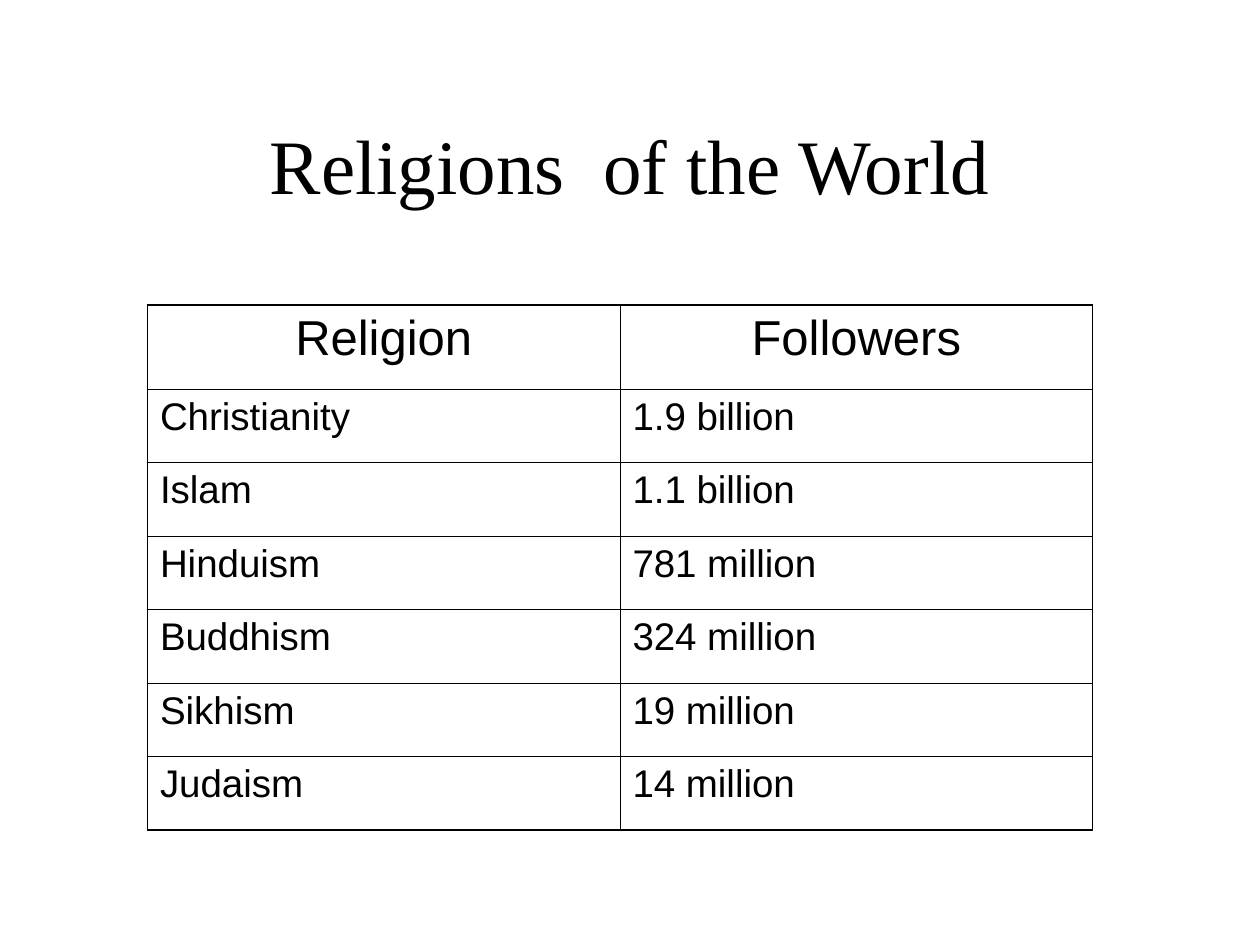
from lxml.etree import SubElement
from pptx import Presentation
from pptx.dml.color import RGBColor
from pptx.enum.text import MSO_ANCHOR, PP_ALIGN
from pptx.oxml.ns import qn
from pptx.util import Inches, Pt

COLORS = {"text": "000000", "border": "000000"}
FORMATS = {
    "title": {"name": "Times New Roman", "size": Pt(44)},
    "header": {"name": "Arial", "size": Pt(28)},
    "body": {"name": "Arial", "size": Pt(22)},
}
INNER, OUTER = Pt(0.45), Pt(1.08)
HEADER_HEIGHT = 0.67

ROWS = [
    ("Religion", "Followers"),
    ("Christianity", "1.9 billion"),
    ("Islam", "1.1 billion"),
    ("Hinduism", "781 million"),
    ("Buddhism", "324 million"),
    ("Sikhism", "19 million"),
    ("Judaism", "14 million"),
]


def write(tf, text, style, align):
    p = tf.paragraphs[0]
    p.alignment = align
    r = p.add_run()
    r.text = text
    for key, value in FORMATS[style].items():
        setattr(r.font, key, value)
    r.font.color.rgb = RGBColor.from_string(COLORS["text"])


def set_borders(cell, widths):
    """Draw the cell's edges, given as widths by side."""
    tc_pr = cell._tc.get_or_add_tcPr()
    for side, width in widths.items():
        ln = SubElement(tc_pr, qn(f"a:ln{side}"), w=str(width))
        fill = SubElement(ln, qn("a:solidFill"))
        SubElement(fill, qn("a:srgbClr"), val=COLORS["border"])


def add_title(s, x, y, w, h):
    sp = s.shapes.add_textbox(Inches(x), Inches(y), Inches(w), Inches(h))
    tf = sp.text_frame
    tf.word_wrap = True
    tf.vertical_anchor = MSO_ANCHOR.MIDDLE
    write(tf, "Religions  of the World", "title", PP_ALIGN.CENTER)


def add_followers_table(s, x, y, w, h):
    n_rows, n_cols = len(ROWS), len(ROWS[0])
    table = s.shapes.add_table(
        n_rows, n_cols, Inches(x), Inches(y), Inches(w), Inches(h)
    ).table
    table.first_row = table.horz_banding = False

    # Tall header row, the rest share the remaining height
    body_height = (h - HEADER_HEIGHT) / (n_rows - 1)
    for i, row in enumerate(table.rows):
        row.height = Inches(body_height if i else HEADER_HEIGHT)

    for i, values in enumerate(ROWS):
        style, align = ("body", PP_ALIGN.LEFT) if i else ("header", PP_ALIGN.CENTER)
        for j, text in enumerate(values):
            cell = table.cell(i, j)
            write(cell.text_frame, text, style, align)
            # Heavier lines around the outside
            set_borders(cell, {
                "L": OUTER if j == 0 else INNER,
                "R": OUTER if j == n_cols - 1 else INNER,
                "T": OUTER if i == 0 else INNER,
                "B": OUTER if i == n_rows - 1 else INNER,
            })
            cell.fill.background()


def main():
    prs = Presentation()
    prs.slide_width, prs.slide_height = Inches(10), Inches(7.5)
    s = prs.slides.add_slide(prs.slide_layouts[6])
    add_title(s, 0.75, 0.67, 8.5, 1.25)
    add_followers_table(s, 1.17, 2.42, 7.5, 4.17)
    prs.save("out.pptx")


if __name__ == "__main__":
    main()
